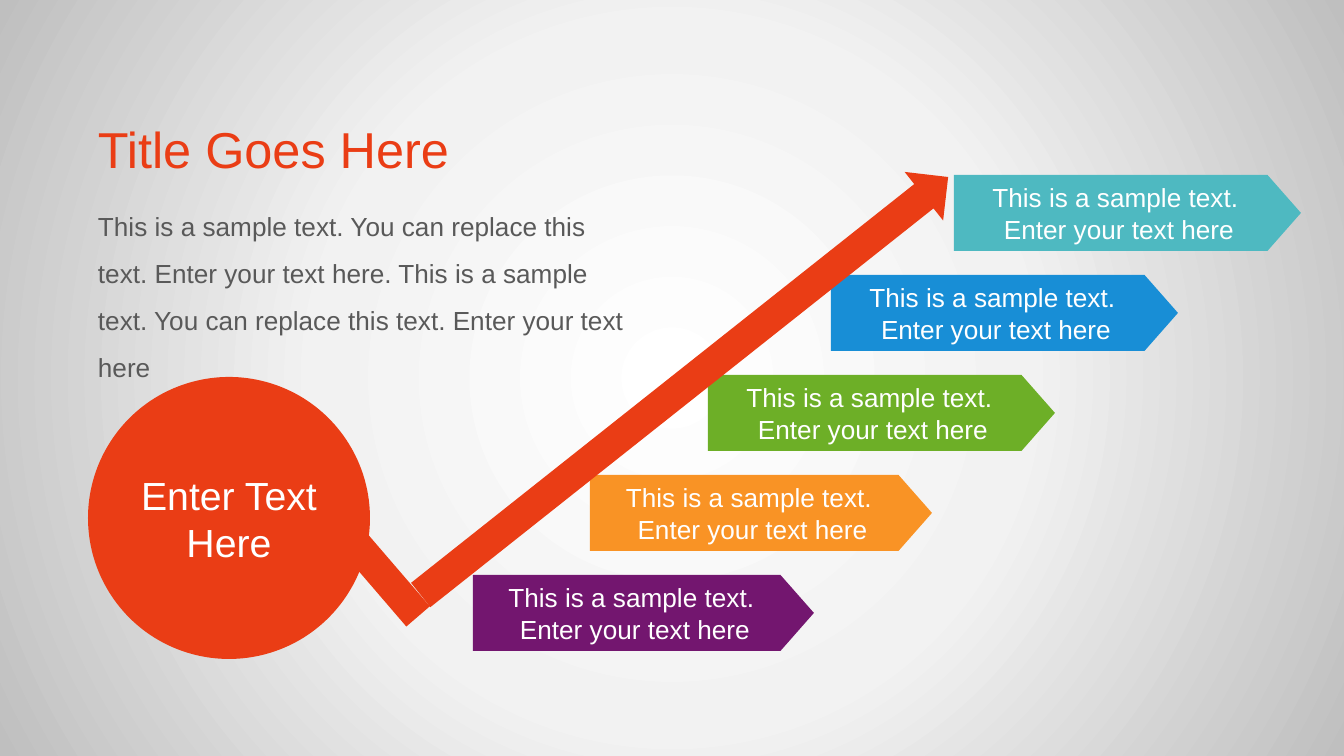
from dataclasses import dataclass
from typing import Optional

from pptx import Presentation
from pptx import oxml
from pptx import util as u
from pptx.dml import color
from pptx.enum import shapes, text
from pptx.oxml import ns

EMU_PER_PX = 914400 / 134.4
FONT = "Arial"
COLORS = {
    "purple": "73166F",
    "orange": "F99325",
    "green": "6DAF27",
    "blue": "188ED6",
    "teal": "4EB9C1",
    "red": "EA3D15",
    "gray": "595959",
    "white": "FFFFFF",
}
BACKDROP = {0: "FFFFFF", 46: "F2F2F2", 100: "BFBFBF"}
STEP_LINES = ("This is a sample text. ", "Enter your text here")
STEP_TOP, STEP_RISE, STEP_HEIGHT = 575, 100, 76


@dataclass(frozen=True)
class Box:
    left: int
    top: int
    width: int
    height: int


@dataclass(frozen=True)
class Step:
    left: int
    width: int
    fill: str


@dataclass(frozen=True)
class Label:
    lines: tuple[str, ...]
    size: int
    color: str
    align: text.PP_ALIGN = text.PP_ALIGN.LEFT
    anchor: text.MSO_ANCHOR = text.MSO_ANCHOR.TOP
    spacing: Optional[float] = None


STEPS = (
    Step(473, 341, "purple"),
    Step(590, 342, "orange"),
    Step(708, 347, "green"),
    Step(831, 347, "blue"),
    Step(954, 347, "teal"),
)


def px(length: float) -> u.Emu:
    return u.Emu(round(length * EMU_PER_PX))


def place(box: Box) -> tuple[u.Emu, ...]:
    return px(box.left), px(box.top), px(box.width), px(box.height)


def write(shape, label: Label) -> None:
    frame = shape.text_frame
    frame.word_wrap = True
    frame.vertical_anchor = label.anchor
    frame.margin_left = frame.margin_right = px(10)
    frame.margin_top = frame.margin_bottom = px(5)
    frame.text = "\n".join(label.lines)
    for paragraph in frame.paragraphs:
        paragraph.alignment = label.align
        paragraph.line_spacing = label.spacing
        paragraph.font.name = FONT
        paragraph.font.size = u.Pt(label.size)
        paragraph.font.color.rgb = color.RGBColor.from_string(COLORS[label.color])


def add_filled(slide, kind: shapes.MSO_SHAPE, box: Box, fill: str,
               rotation: float = 0, label: Optional[Label] = None):
    shape = slide.shapes.add_shape(kind, *place(box))
    shape.shadow.inherit = False
    shape.fill.solid()
    shape.fill.fore_color.rgb = color.RGBColor.from_string(COLORS[fill])
    shape.line.fill.background()
    shape.rotation = rotation
    if label:
        write(shape, label)
    return shape


def add_text(slide, box: Box, label: Label) -> None:
    write(slide.shapes.add_textbox(*place(box)), label)


def centered(lines: tuple[str, ...], size: int) -> Label:
    return Label(lines, size, "white", text.PP_ALIGN.CENTER, text.MSO_ANCHOR.MIDDLE)


def paint_backdrop(slide) -> None:
    slide.background.fill.gradient()
    linear = slide.element.find(".//" + ns.qn("a:gradFill"))
    stops = "".join(
        f'<a:gs pos="{position * 1000}"><a:srgbClr val="{tint}"/></a:gs>'
        for position, tint in BACKDROP.items()
    )
    radial = oxml.parse_xml(
        f'<a:gradFill {ns.nsdecls("a")} rotWithShape="1"><a:gsLst>{stops}</a:gsLst>'
        '<a:path path="circle"><a:fillToRect l="50000" t="50000" r="50000" b="50000"/>'
        '</a:path></a:gradFill>'
    )
    linear.getparent().replace(linear, radial)


def main() -> None:
    deck = Presentation()
    deck.slide_width, deck.slide_height = px(1344), px(756)
    slide = deck.slides.add_slide(deck.slide_layouts[6])
    paint_backdrop(slide)

    for index, step in enumerate(STEPS):
        box = Box(step.left, STEP_TOP - index * STEP_RISE, step.width, STEP_HEIGHT)
        plate = add_filled(slide, shapes.MSO_SHAPE.PENTAGON, box, step.fill,
                           label=centered(STEP_LINES, 14))
        plate.adjustments[0] = 0.44

    add_filled(slide, shapes.MSO_SHAPE.RIGHT_ARROW, Box(348, 355, 673, 62), "red", 321.6)
    add_filled(slide, shapes.MSO_SHAPE.RECTANGLE, Box(333, 562, 103, 31), "red", 49.3)
    add_filled(slide, shapes.MSO_SHAPE.OVAL, Box(88, 377, 282, 282), "red",
               label=centered(("Enter Text Here",), 21))

    body = ("This is a sample text. You can replace this text. Enter your text here. "
            "This is a sample text. You can replace this text. Enter your text here")
    add_text(slide, Box(88, 190, 563, 179), Label((body,), 14, "gray", spacing=1.5))
    add_text(slide, Box(88, 113, 375, 71), Label(("Title Goes Here",), 27, "red"))

    deck.save("out.pptx")


if __name__ == "__main__":
    main()
